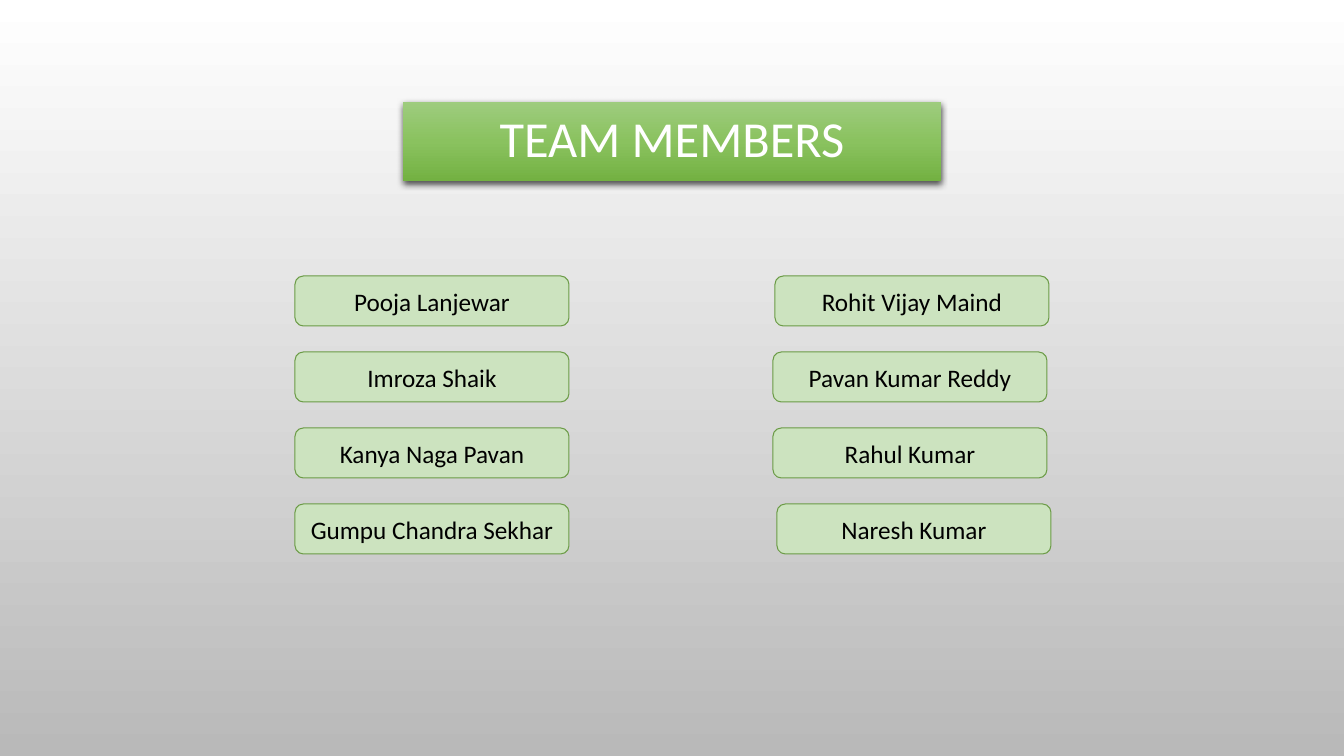
from lxml import etree
from pptx import Presentation
from pptx.dml.color import RGBColor
from pptx.enum.shapes import MSO_SHAPE
from pptx.enum.text import MSO_ANCHOR, PP_ALIGN
from pptx.oxml import parse_xml
from pptx.oxml.ns import nsdecls, qn
from pptx.util import Emu, Pt

CARD_SHAPE = MSO_SHAPE.FLOWCHART_ALTERNATE_PROCESS
MIDDLE = MSO_ANCHOR.MIDDLE
CENTER = PP_ALIGN.CENTER
TITLE_ONLY = 5
FONT = "Calibri"
CARD_TOP, CARD_STEP = 276, 76
CARD_WIDTH, CARD_HEIGHT = 274, 50
TEAM_COLUMNS = [
    [("Pooja Lanjewar", 295), ("Imroza Shaik", 295),
     ("Kanya Naga Pavan", 295), ("Gumpu Chandra Sekhar", 295)],
    [("Rohit Vijay Maind", 775), ("Pavan Kumar Reddy", 773),
     ("Rahul Kumar", 773), ("Naresh Kumar", 777)],
]


def px(length):
    """Turn slide pixels into EMU."""
    return Emu(round(length * 914400 / 100.8))


def color(value):
    """Turn a hex string into a colour."""
    return RGBColor.from_string(value)


def paint_gradient(fill, holder, stops):
    """Fill from top to bottom with stops of percentage and colour."""
    fill.gradient()
    fill.gradient_angle = 270
    stop_list = next(holder.iter(qn("a:gsLst")))
    for stop in list(stop_list):
        stop_list.remove(stop)
    for percent, value in stops:
        stop = etree.SubElement(stop_list, qn("a:gs"), pos=str(percent * 1000))
        etree.SubElement(stop, qn("a:srgbClr"), val=value)


def write_text(box, text, size, value):
    """Write one centred line into a box."""
    frame = box.text_frame
    frame.text = text
    frame.word_wrap = True
    frame.vertical_anchor = MIDDLE
    para = frame.paragraphs[0]
    para.alignment = CENTER
    font = para.runs[0].font
    font.name = FONT
    font.size = Pt(size)
    font.color.rgb = color(value)
    return para


def add_title(page, text):
    """Turn the title placeholder into a green banner with a shadow."""
    title = page.shapes.title
    title.left, title.top, title.width, title.height = map(px, (403, 102, 538, 79))
    properties = title.element.spPr
    properties.append(parse_xml(
        f'<a:prstGeom {nsdecls("a")} prst="roundRect"><a:avLst>'
        '<a:gd name="adj" fmla="val 2000"/></a:avLst></a:prstGeom>'))
    paint_gradient(title.fill, properties,
                   [(0, "9ECC7E"), (50, "8AC25F"), (100, "73B142")])
    properties.append(parse_xml(
        f'<a:effectLst {nsdecls("a")}>'
        f'<a:outerShdw blurRad="{Pt(5)}" dist="{Pt(2)}" dir="5400000" '
        'algn="ctr" rotWithShape="0"><a:srgbClr val="000000">'
        '<a:alpha val="69000"/></a:srgbClr></a:outerShdw></a:effectLst>'))
    write_text(title, text, 36, "FFFFFF").line_spacing = 0.9


def add_card(shapes, name, left, top):
    """Add the rounded card of one team member."""
    card = shapes.add_shape(CARD_SHAPE, px(left), px(top),
                            px(CARD_WIDTH), px(CARD_HEIGHT))
    card.shadow.inherit = False
    card.fill.solid()
    card.fill.fore_color.rgb = color("CCE3BF")
    card.line.color.rgb = color("6B9B46")
    card.line.width = Pt(0.75)
    write_text(card, name, 18, "000000")


def main():
    """Build the team slide and save it."""
    deck = Presentation()
    deck.slide_width, deck.slide_height = px(1344), px(756)
    page = deck.slides.add_slide(deck.slide_layouts[TITLE_ONLY])
    paint_gradient(page.background.fill, page.element,
                   [(0, "FFFFFF"), (100, "B9B9B9")])
    add_title(page, "TEAM MEMBERS")
    team = page.shapes.add_group_shape()
    for members in TEAM_COLUMNS:
        for row, (name, left) in enumerate(members):
            add_card(team.shapes, name, left, CARD_TOP + row * CARD_STEP)
    deck.save("out.pptx")


if __name__ == "__main__":
    main()
